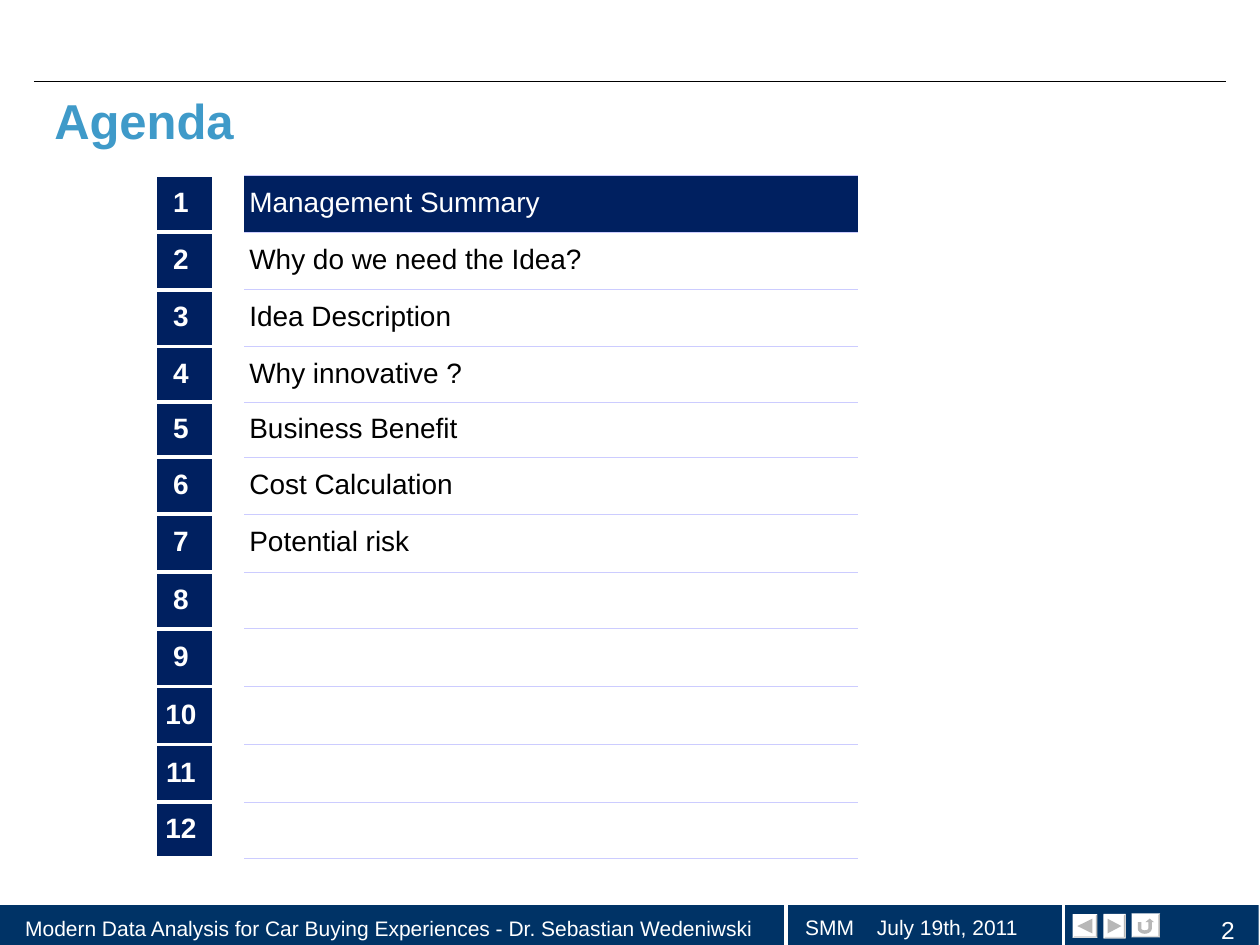
from math import cos, pi, sin

from lxml import etree
from pptx import Presentation
from pptx import util as u
from pptx.dml.color import RGBColor
from pptx.enum import shapes, text
from pptx.oxml.ns import qn

Pt = u.Pt
HUES = {
    "white": "FFFFFF", "black": "000000", "bar": "003366", "navy": "002060",
    "title": "3F9AC9", "rule": "CCCCFF", "shade": "B7B7B7", "edge": "DBDBDB",
}
TOPICS = [
    "Management Summary", "Why do we need the Idea?", "Idea Description",
    "Why innovative ?", "Business Benefit", "Cost Calculation",
    "Potential risk",
]
WIDTHS = [33.8, 10.8, 350.6, 72.7]
HEIGHTS = [32.4, 33.1, 32.4, 31.7, 31.7, 32.4,
           33.1, 32.4, 33.1, 33.1, 33.1, 31.7]


def rgb(name):
    return RGBColor.from_string(HUES[name])


def apply(obj, vals):
    for key, val in vals.items():
        setattr(obj, key, val)


def paint(shape, hue):
    shape.shadow.inherit = False
    shape.fill.solid()
    shape.fill.fore_color.rgb = rgb(hue)
    shape.line.fill.background()


def write(para, words, size, hue, bold=False, **form):
    apply(para, form)
    run = para.add_run()
    run.text = words
    apply(run.font, {"name": "Arial", "size": Pt(size), "bold": bold})
    run.font.color.rgb = rgb(hue)


def add_text(slide, box, words, size, hue, pads=(0, 0, 0, 0), wrap=False,
             anchor=text.MSO_ANCHOR.MIDDLE, tab=None, **form):
    frame = slide.shapes.add_textbox(*map(Pt, box)).text_frame
    sides = ("margin_left", "margin_top", "margin_right", "margin_bottom")
    apply(frame, dict(zip(sides, map(Pt, pads))))
    apply(frame, {"word_wrap": wrap, "vertical_anchor": anchor})
    para = frame.paragraphs[0]
    if tab:
        stops = etree.SubElement(para._p.get_or_add_pPr(), qn("a:tabLst"))
        etree.SubElement(stops, qn("a:tab"), pos=str(Pt(tab)), algn="l")
    write(para, words, size, hue, **form)


def add_line(slide, ends, hue, width):
    line = slide.shapes.add_connector(
        shapes.MSO_CONNECTOR.STRAIGHT, *map(Pt, ends))
    line.line.color.rgb = rgb(hue)
    line.line.width = Pt(width)
    etree.SubElement(line._element.spPr, qn("a:effectLst"))


def add_poly(slide, points, hue):
    first, *rest = [(Pt(x), Pt(y)) for x, y in points]
    pen = slide.shapes.build_freeform(*first)
    pen.add_line_segments(rest, close=True)
    paint(pen.convert_to_shape(), hue)


def add_button(slide, box, icon):
    """Draw a raised button: face, four bevelled edges, then the icon."""
    left, top, wide, high = box
    outer = [(left, top), (left + wide, top),
             (left + wide, top + high), (left, top + high)]
    rim = 0.9
    inner = [(x + dx * rim, y + dy * rim) for (x, y), (dx, dy)
             in zip(outer, [(1, 1), (-1, 1), (-1, -1), (1, -1)])]
    add_poly(slide, outer, "white")
    for i, hue in enumerate(["white", "shade", "edge", "white"]):
        j = (i + 1) % 4
        add_poly(slide, [outer[i], outer[j], inner[j], inner[i]], hue)
    add_poly(slide, icon, "shade")


def arc(mid, wide, high, start, end, steps=12):
    turns = [start + (end - start) * i / steps for i in range(steps + 1)]
    return [(mid[0] + wide * cos(t), mid[1] + high * sin(t)) for t in turns]


def add_edge(cell, side, hue=None, width=1):
    props = cell._tc.get_or_add_tcPr()
    line = etree.SubElement(props, qn("a:ln" + side), w=str(Pt(width)))
    if hue:
        fill = etree.SubElement(line, qn("a:solidFill"))
        etree.SubElement(fill, qn("a:srgbClr"), val=HUES[hue])
    else:
        etree.SubElement(line, qn("a:noFill"))


def fill_cell(cell, words, fill, edges, hue, **form):
    for side in "LRTB":
        add_edge(cell, side, *edges.get(side, ()))
    if fill:
        cell.fill.solid()
        cell.fill.fore_color.rgb = rgb(fill)
    else:
        cell.fill.background()
    if words:
        apply(cell, {"margin_left": Pt(2.9), "margin_right": Pt(7.2),
                     "vertical_anchor": text.MSO_ANCHOR.MIDDLE})
        write(cell.text_frame.paragraphs[0], words, 16, hue,
              line_spacing=0.94, **form)


def add_agenda(slide):
    table = slide.shapes.add_table(
        len(HEIGHTS), len(WIDTHS), Pt(88.6), Pt(100.1),
        Pt(sum(WIDTHS)), Pt(sum(HEIGHTS))).table
    apply(table, {"first_row": False, "horz_banding": False})
    for col, width in zip(table.columns, WIDTHS):
        col.width = Pt(width)
    rules = {side: ("rule", 0.34) for side in "TB"}
    for i, height in enumerate(HEIGHTS):
        table.rows[i].height = Pt(height)
        frame = {side: ("white", 2.5) for side in "LRTB"}
        if i == 0:
            frame["T"] = ("white", 1.75)
        topic = TOPICS[i] if i < len(TOPICS) else ""
        fill_cell(table.cell(i, 0), str(i + 1), "navy", frame, "white",
                  bold=True, alignment=text.PP_ALIGN.CENTER)
        fill_cell(table.cell(i, 2), topic, None if i else "navy", rules,
                  "black" if i else "white")
        for j in (1, 3):
            fill_cell(table.cell(i, j), "", None, {}, "black")


def add_bars(slide):
    top, high = 516.2, 25.2
    stops = [0, 449.3, 607.7, 719.3]
    for left, right in zip(stops, stops[1:]):
        bar = slide.shapes.add_shape(
            shapes.MSO_SHAPE.RECTANGLE,
            *map(Pt, (left, top, right - left, high)))
        paint(bar, "bar")
    for x in stops[1:3]:
        add_line(slide, (x, top, x, top + high), "white", 2.15)
    add_line(slide, (0, top, stops[-1], top), "white", 2.15)


def add_buttons(slide):
    add_button(slide, (630.6, 522.3, 12.6, 14),
               [(632.9, 525), (640.9, 529.2), (632.9, 533.4)])
    mid = (654.2, 530.6)
    bend = [(650.2, 527), (652.2, 527), *arc(mid, 2, 1, pi, 0),
            (656.2, 527), (654.5, 527), (657, 524.9), (659.5, 527),
            (658.2, 527), *arc(mid, 4, 3, 0, pi)]
    add_button(slide, (646.6, 522, 16.3, 13.7), bend)
    add_button(slide, (612.9, 522.5, 14.2, 13.4),
               [(615.6, 529.2), (624.2, 525), (624.2, 533.4)])


def main():
    deck = Presentation()
    apply(deck, {"slide_width": Pt(720), "slide_height": Pt(540)})
    slide = deck.slides.add_slide(deck.slide_layouts[6])

    # Footer bars, top rule and navigation buttons
    add_bars(slide)
    add_line(slide, (19.4, 46.8, 700.6, 46.8), "black", 0.5)
    add_buttons(slide)

    # Title and agenda
    add_text(slide, (31, 57.6, 658, 63.4), "Agenda", 28, "title",
             pads=(0, 0, 0, 33.8), wrap=True, anchor=text.MSO_ANCHOR.TOP,
             bold=True, line_spacing=Pt(29.6))
    add_agenda(slide)

    # Footer text
    note = {"pads": (11.5, 0, 11.5, 0), "line_spacing": 0.9,
            "space_after": Pt(7.5)}
    add_text(slide, (2.9, 518.4, 444.2, 25.2),
             "Modern Data Analysis for Car Buying Experiences "
             "- Dr. Sebastian Wedeniwski", 12, "white", **note)
    add_text(slide, (448.6, 519.8, 150, 22.3), "SMM\tJuly 19th, 2011",
             12, "white", tab=41, **note)
    add_text(slide, (666.7, 524.2, 38.9, 15.8), "2", 14, "white",
             alignment=text.PP_ALIGN.RIGHT, line_spacing=0.9,
             space_after=Pt(8.8))
    deck.save("out.pptx")


if __name__ == "__main__":
    main()
